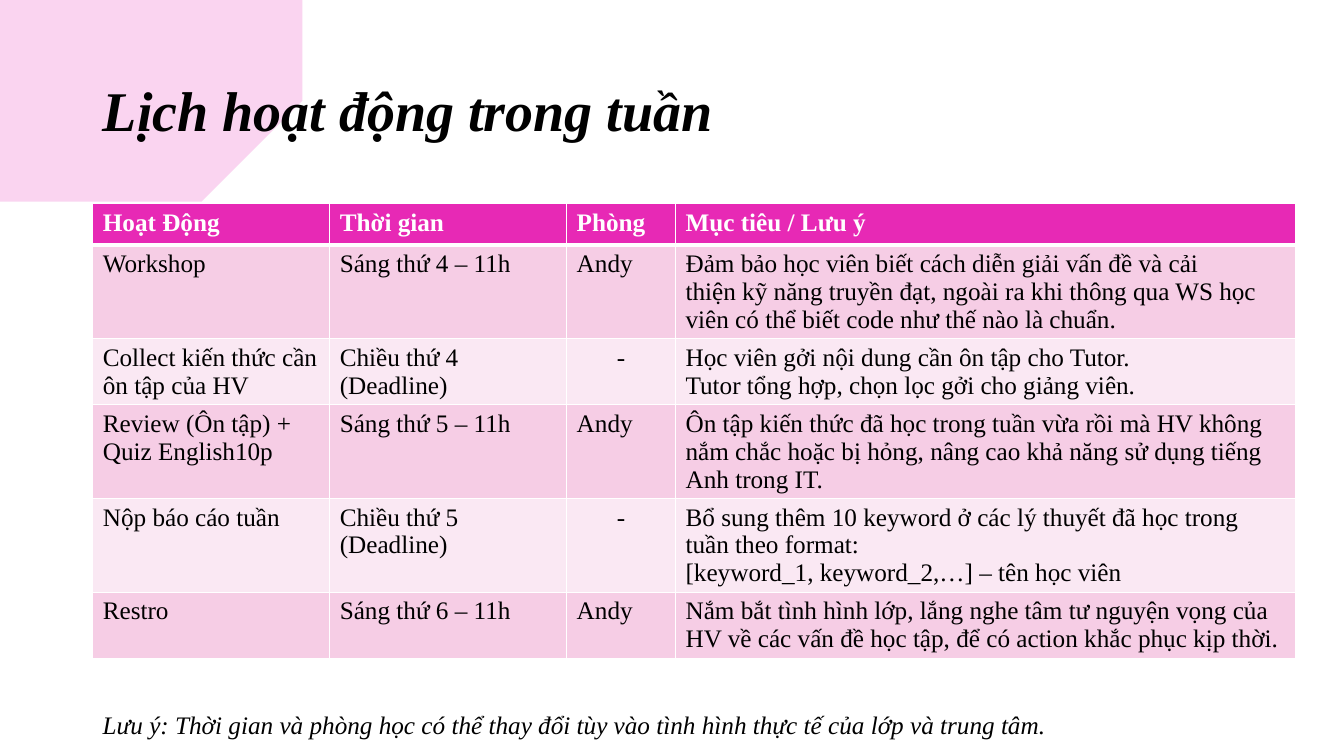
"""Builds the weekly activity schedule slide."""
from lxml.etree import SubElement
from pptx import Presentation
from pptx.dml.color import RGBColor
from pptx.enum.text import MSO_ANCHOR, MSO_AUTO_SIZE, PP_ALIGN
from pptx.oxml.ns import qn
from pptx.util import Inches, Pt

PINK, BAND, PALE = "E729B5", "F6CDE5", "FAE8F3"
WHITE, BLACK = "FFFFFF", "000000"

BRUSH = [
    (0, 0.34), (0.25, 0.37), (1.3, 0.37), (1.94, 0.41), (2.65, 0.41), (2.8, 0.47),
    (2.53, 0.57), (2.62, 0.62), (2.38, 0.66), (2.75, 0.74), (2.51, 0.75),
    (2.74, 0.82), (2.9, 0.85), (2.63, 0.88), (3.3, 0.94), (3.18, 1.06),
    (3.07, 1.11), (2.8, 1.18), (2.74, 1.28), (3.08, 1.28), (2.69, 1.38),
    (2.52, 1.48), (2.63, 1.48), (1.97, 1.72), (1.02, 1.88), (0.65, 1.91), (0, 1.88),
]

SCHEDULE = [
    ("Hoạt Động", "Thời gian", "Phòng", "Mục tiêu / Lưu ý"),
    ("Workshop", "Sáng thứ 4 – 11h", "Andy",
     "Đảm bảo học viên biết cách diễn giải vấn đề và cải\n"
     "thiện kỹ năng truyền đạt, ngoài ra khi thông qua WS học viên "
     "có thể biết code như thế nào là chuẩn."),
    ("Collect kiến thức cần ôn tập của HV", "Chiều thứ 4 (Deadline)", "-",
     "Học viên gởi nội dung cần ôn tập cho Tutor.\n"
     "Tutor tổng hợp, chọn lọc gởi cho giảng viên."),
    ("Review (Ôn tập) + Quiz English10p", "Sáng thứ 5 – 11h", "Andy",
     "Ôn tập kiến thức đã học trong tuần vừa rồi mà HV không nắm chắc hoặc "
     "bị hỏng, nâng cao khả năng sử dụng tiếng Anh trong IT."),
    ("Nộp báo cáo tuần", "Chiều thứ 5\n(Deadline)", "-",
     "Bổ sung thêm 10 keyword ở các lý thuyết đã học trong tuần theo format:\v"
     "[keyword_1, keyword_2,…] – tên học viên"),
    ("Restro", "Sáng thứ 6 – 11h", "Andy",
     "Nắm bắt tình hình lớp, lắng nghe tâm tư nguyện vọng của HV về các vấn đề "
     "học tập, để có action khắc phục kịp thời."),
]


def rgb(value):
    """Turn a hex string into a colour."""
    return RGBColor.from_string(value)


class SlideBuilder:
    """Holds the text style and the current slide."""

    font = "Times New Roman"

    def __init__(self, prs):
        """Add a title-only slide."""
        self.s = prs.slides.add_slide(prs.slide_layouts[5])

    def style(self, tf, size=18, color=BLACK, bold=False, italic=False):
        """Format every run of a text frame."""
        for p in tf.paragraphs:
            for r in p.runs:
                r.font.name, r.font.size = self.font, Pt(size)
                r.font.bold, r.font.italic = bold, italic
                r.font.color.rgb = rgb(color)

    def brush(self, points, color, opacity):
        """Draw a translucent brush stroke behind everything else."""
        fb = self.s.shapes.build_freeform(*points[0], scale=Inches(1))
        fb.add_line_segments(points[1:], close=True)
        sp = fb.convert_to_shape()
        sp.shadow.inherit = False
        sp.fill.solid()
        sp.fill.fore_color.rgb = rgb(color)
        sp.line.fill.background()
        clr = sp._element.spPr.find(qn("a:solidFill"))[0]
        SubElement(clr, qn("a:alpha"), val=str(opacity * 1000))
        self.s.shapes._spTree.insert(2, sp._element)

    def title(self, text, x, y, w, h):
        """Place and fill the title placeholder."""
        sp = self.s.shapes.title
        sp.left, sp.top, sp.width, sp.height = map(Inches, (x, y, w, h))
        tf = sp.text_frame
        tf.text = text
        tf.word_wrap, tf.auto_size = True, MSO_AUTO_SIZE.NONE
        tf.vertical_anchor = MSO_ANCHOR.MIDDLE
        p = tf.paragraphs[0]
        p.alignment, p.line_spacing = PP_ALIGN.LEFT, 0.9
        self.style(tf, 40, bold=True, italic=True)

    def note(self, text, x, y, w, h):
        """Add an italic text box."""
        tf = self.s.shapes.add_textbox(*map(Inches, (x, y, w, h))).text_frame
        tf.text = text
        tf.word_wrap, tf.auto_size = True, MSO_AUTO_SIZE.SHAPE_TO_FIT_TEXT
        self.style(tf, italic=True)

    def borders(self, cell, top, bottom):
        """Give a cell white borders, with widths in points."""
        tc_pr = cell._tc.get_or_add_tcPr()
        for side, width in zip("LRTB", (1, 1, top, bottom)):
            ln = SubElement(tc_pr, qn("a:ln" + side), w=str(int(Pt(width))))
            SubElement(SubElement(ln, qn("a:solidFill")), qn("a:srgbClr"), val=WHITE)

    def table(self, rows, widths, x, y, row_h):
        """Add a table with a header row and alternating bands."""
        size = map(Inches, (x, y, sum(widths), row_h * len(rows)))
        tbl = self.s.shapes.add_table(len(rows), len(widths), *size).table
        for col, w in zip(tbl.columns, widths):
            col.width = Inches(w)
        for i, row in enumerate(rows):
            tbl.rows[i].height = Inches(row_h)
            header = i == 0
            fill = PINK if header else (PALE, BAND)[i % 2]
            for j, text in enumerate(row):
                cell = tbl.cell(i, j)
                self.borders(cell, 3 if i == 1 else 1, 3 if header else 1)
                cell.fill.solid()
                cell.fill.fore_color.rgb = rgb(fill)
                tf = cell.text_frame
                tf.text = text
                if text == "-":
                    tf.paragraphs[0].alignment = PP_ALIGN.CENTER
                self.style(tf, color=WHITE if header else BLACK, bold=header)


def main():
    """Build and save the slide."""
    prs = Presentation()
    prs.slide_width, prs.slide_height = Inches(13.33), Inches(7.5)
    b = SlideBuilder(prs)
    b.brush(BRUSH, PINK, 20)
    b.title("Lịch hoạt động trong tuần", 0.92, 0.4, 11.5, 1.45)
    b.table(SCHEDULE, (2.35, 2.35, 1.08, 6.15), 0.92, 2.02, 0.41)
    b.note("Lưu ý: Thời gian và phòng học có thể thay đổi tùy vào tình hình "
           "thực tế của lớp và trung tâm.", 0.92, 6.99, 11.34, 0.4)
    prs.save("out.pptx")


if __name__ == "__main__":
    main()
